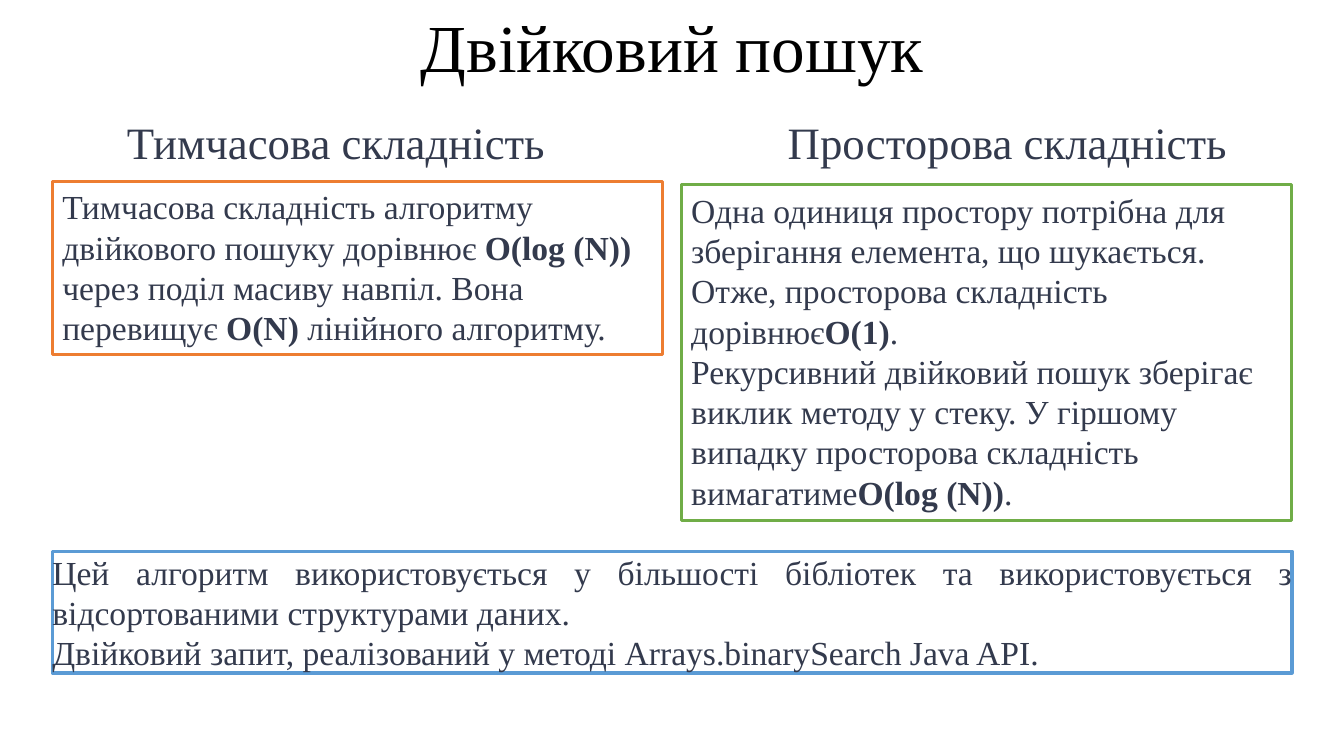
from dataclasses import dataclass

from pptx import Presentation
from pptx.dml.color import RGBColor
from pptx.enum import shapes, text
from pptx.slide import Slide
from pptx.text.text import TextFrame
from pptx.util import Cm, Pt

HUES = {"black": "000000", "ink": "333A4D", "white": "FFFFFF",
        "orange": "ED7D31", "green": "70AD47", "blue": "5B9BD5"}
FONT = "Times New Roman"
LEFT, CENTER, FULL = text.PP_ALIGN.LEFT, text.PP_ALIGN.CENTER, text.PP_ALIGN.JUSTIFY
TOP, MIDDLE = text.MSO_ANCHOR.TOP, text.MSO_ANCHOR.MIDDLE
Lines = list[list[str]]


@dataclass
class Head:
    left: float
    words: str


@dataclass
class Panel:
    """A framed text; every second run of a paragraph is bold."""
    left: float
    top: float
    width: float
    height: float
    hue: str
    lines: Lines
    align: text.PP_ALIGN = LEFT
    anchor: text.MSO_ANCHOR = TOP
    filled: bool = False


HEADS = [Head(0, "Тимчасова складність"), Head(16.92, "Просторова складність")]
PANELS = [
    Panel(1.32, 4.57, 15.37, 4.37, "orange", [
        ["Тимчасова складність алгоритму двійкового пошуку дорівнює ", "O(log (N)) ",
         "через поділ масиву навпіл. Вона перевищує ", "O(N) ", "лінійного алгоритму."]]),
    Panel(17.17, 4.65, 15.37, 8.46, "green", [
        ["Одна одиниця простору потрібна для зберігання елемента, що шукається. "
         "Отже, просторова складність дорівнює", "O(1)", "."],
        ["Рекурсивний двійковий пошук зберігає виклик методу у стеку. "
         "У гіршому випадку просторова складність вимагатиме", "O(log (N))", "."]]),
    Panel(1.32, 13.89, 31.24, 3.07, "blue", [
        ["Цей алгоритм використовується у більшості бібліотек та використовується "
         "з відсортованими структурами даних."],
        ["Двійковий запит, реалізований у методі Arrays.binarySearch Java API."]],
        FULL, MIDDLE, True),
]


def tint(name: str) -> RGBColor:
    """Return a named colour."""
    return RGBColor.from_string(HUES[name])


def write(frame: TextFrame, lines: Lines, size: int, hue: str,
          align: text.PP_ALIGN, anchor: text.MSO_ANCHOR) -> None:
    """Fill a frame with paragraphs of alternating plain and bold runs."""
    frame.word_wrap = True
    frame.auto_size = text.MSO_AUTO_SIZE.SHAPE_TO_FIT_TEXT
    frame.vertical_anchor = anchor
    for row, parts in enumerate(lines):
        para = frame.add_paragraph() if row else frame.paragraphs[0]
        para.alignment = align
        for col, part in enumerate(parts):
            run = para.add_run()
            run.text = part
            run.font.name = FONT
            run.font.size = Pt(size)
            run.font.bold = col % 2 == 1
            run.font.color.rgb = tint(hue)


def draw_head(slide: Slide, head: Head) -> None:
    """Draw a column heading."""
    box = slide.shapes.add_textbox(Cm(head.left), Cm(2.77), Cm(16.94), Cm(1.62))
    write(box.text_frame, [[head.words]], 32, "ink", CENTER, TOP)


def draw_panel(slide: Slide, panel: Panel) -> None:
    """Draw a framed text."""
    box = slide.shapes.add_shape(
        shapes.MSO_SHAPE.RECTANGLE, Cm(panel.left), Cm(panel.top),
        Cm(panel.width), Cm(panel.height))
    box.shadow.inherit = False
    box.line.color.rgb = tint(panel.hue)
    box.line.width = Pt(2.25)
    frame = box.text_frame
    if panel.filled:
        box.fill.solid()
        box.fill.fore_color.rgb = tint("white")
        frame.margin_left = frame.margin_right = Cm(0)
        frame.margin_top = frame.margin_bottom = Cm(0)
    else:
        box.fill.background()
    write(frame, panel.lines, 24, "ink", panel.align, panel.anchor)


def main() -> None:
    """Build the slide."""
    deck = Presentation()
    deck.slide_width, deck.slide_height = Cm(33.87), Cm(19.05)
    slide = deck.slides.add_slide(deck.slide_layouts[5])
    title = slide.shapes.title
    title.left, title.top, title.width, title.height = Cm(0), Cm(0), Cm(33.87), Cm(2.31)
    write(title.text_frame, [["Двійковий пошук"]], 48, "black", CENTER, TOP)
    for head in HEADS:
        draw_head(slide, head)
    for panel in PANELS:
        draw_panel(slide, panel)
    deck.save("out.pptx")


if __name__ == "__main__":
    main()
